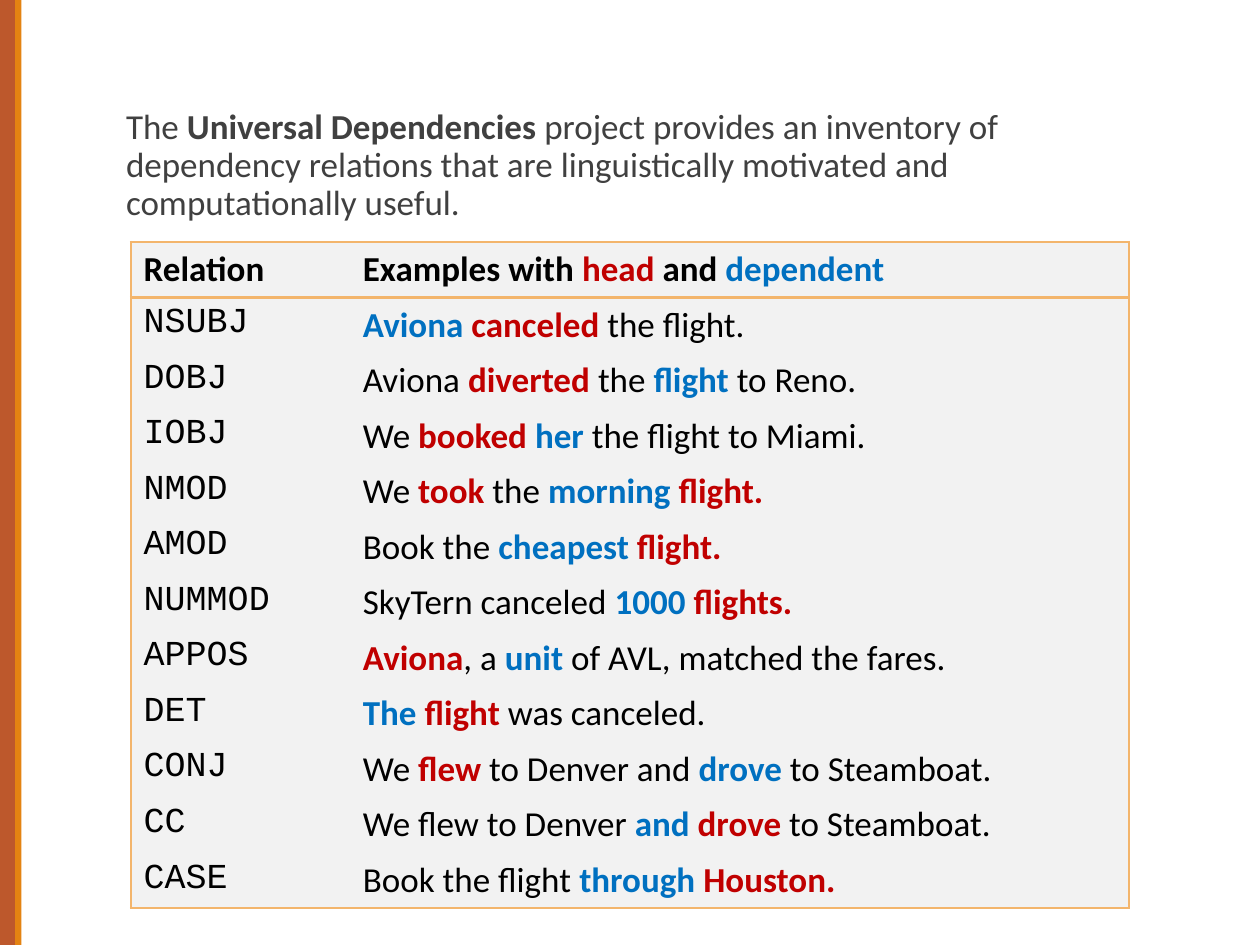
from dataclasses import dataclass

import lxml.etree
import pptx
import pptx.dml.color
import pptx.enum.shapes
import pptx.enum.text
import pptx.oxml.ns
import pptx.util

Inches = pptx.util.Inches
qn = pptx.oxml.ns.qn


@dataclass(frozen=True)
class Theme:
    rust: str = "BD582C"
    orange: str = "E48312"
    border: str = "F3B56C"
    panel: str = "F2F2F2"
    intro: str = "404040"
    ink: str = "000000"
    head: str = "C00000"
    dep: str = "0070C0"
    font: str = "Calibri"
    code: str = "Courier New"
    size: int = 20
    line: float = 1.5


THEME = Theme()


@dataclass(frozen=True)
class Span:
    text: str
    color: str = THEME.ink
    bold: bool = False
    font: str = THEME.font


@dataclass(frozen=True)
class Bar:
    left: float
    width: float
    color: str


@dataclass(frozen=True)
class Row:
    label: Span
    spans: list[Span]


def head(text: str) -> Span:
    return Span(text, THEME.head, True)


def dep(text: str) -> Span:
    return Span(text, THEME.dep, True)


def rel(name: str, *spans: Span) -> Row:
    return Row(Span(name, font=THEME.code), list(spans))


BARS = [Bar(0, 0.12, THEME.rust), Bar(0.12, 0.05, THEME.orange)]

INTRO = [
    Span("The ", THEME.intro),
    Span("Universal Dependencies ", THEME.intro, True),
    Span("project provides an inventory of dependency relations that are "
         "linguistically motivated and computationally useful.", THEME.intro),
]

# Airline names are invented
ROWS = [
    Row(Span("Relation", bold=True),
        [Span("Examples with ", bold=True), head("head"),
         Span(" and ", bold=True), dep("dependent")]),
    rel("NSUBJ", dep("Aviona "), head("canceled "), Span("the flight.")),
    rel("DOBJ", Span("Aviona "), head("diverted "), Span("the"),
        dep(" flight "), Span("to Reno.")),
    rel("IOBJ", Span("We "), head("booked "), dep("her"),
        Span(" the flight to Miami.")),
    rel("NMOD", Span("We "), head("took"), Span(" the "),
        dep("morning "), head("flight.")),
    rel("AMOD", Span("Book the "), dep("cheapest "), head("flight.")),
    rel("NUMMOD", Span("SkyTern canceled "), dep("1000 "), head("flights.")),
    rel("APPOS", head("Aviona"), Span(", a "), dep("unit"),
        Span(" of AVL, matched the fares.")),
    rel("DET", dep("The "), head("flight "), Span("was canceled.")),
    rel("CONJ", Span("We"), head(" flew "), Span("to Denver and "),
        dep("drove"), Span(" to Steamboat.")),
    rel("CC", Span("We flew to Denver "), dep("and "), head("drove"),
        Span(" to Steamboat.")),
    rel("CASE", Span("Book the flight "), dep("through "), head("Houston.")),
]


def rgb(code: str) -> pptx.dml.color.RGBColor:
    return pptx.dml.color.RGBColor.from_string(code)


def write(para, spans: list[Span]) -> None:
    for span in spans:
        run = para.add_run()
        run.text = span.text
        run.font.name = span.font
        run.font.size = pptx.util.Pt(THEME.size)
        run.font.bold = span.bold
        run.font.color.rgb = rgb(span.color)


def draw_bar(slide, bar: Bar) -> None:
    shape = slide.shapes.add_shape(
        pptx.enum.shapes.MSO_SHAPE.RECTANGLE,
        Inches(bar.left), 0, Inches(bar.width), Inches(7.5))
    shape.shadow.inherit = False
    shape.fill.solid()
    shape.fill.fore_color.rgb = rgb(bar.color)
    shape.line.fill.background()


def draw_intro(body) -> None:
    body.left, body.top = Inches(0.9), Inches(0.82)
    body.width, body.height = Inches(8.25), Inches(5.6)
    frame = body.text_frame
    frame.word_wrap = True
    frame.auto_size = pptx.enum.text.MSO_AUTO_SIZE.NONE
    frame.vertical_anchor = pptx.enum.text.MSO_ANCHOR.TOP
    frame.margin_left = frame.margin_right = 0
    para = frame.paragraphs[0]
    para.line_spacing = 0.9
    para.space_before = pptx.util.Pt(12)
    para.space_after = pptx.util.Pt(2)
    # Plain indent without a bullet
    props = para._p.get_or_add_pPr()
    props.set("marL", str(Inches(0.1)))
    props.set("indent", "0")
    lxml.etree.SubElement(props, qn("a:buNone"))
    write(para, INTRO)


def add_edges(cell, sides: str) -> None:
    props = cell._tc.get_or_add_tcPr()
    for side in "LRTB":
        line = lxml.etree.SubElement(props, qn(f"a:ln{side}"))
        if side in sides:
            line.set("w", str(pptx.util.Pt(THEME.line)))
            fill = lxml.etree.SubElement(line, qn("a:solidFill"))
            lxml.etree.SubElement(fill, qn("a:srgbClr"), val=THEME.border)
        else:
            lxml.etree.SubElement(line, qn("a:noFill"))


def draw_table(slide, rows: list[Row]) -> None:
    high = 0.44
    frame = slide.shapes.add_table(
        len(rows), 2, Inches(1.04), Inches(1.92),
        Inches(7.92), Inches(high * len(rows)))
    table = frame.table
    table.first_row = table.horz_banding = False
    # The "No Style, No Grid" table style
    style = next(frame.element.iter(qn("a:tableStyleId")))
    style.text = "{2D5ABB26-0587-4C30-8999-92F81FD0307C}"
    for col, width in zip(table.columns, (1.74, 6.18)):
        col.width = Inches(width)
    for i, row in enumerate(rows):
        table.rows[i].height = Inches(high)
        # Frame around the table, and a rule below the header
        edges = ("T" if i < 2 else "") + ("B" if i in (0, len(rows) - 1) else "")
        for j, (spans, side) in enumerate((([row.label], "L"), (row.spans, "R"))):
            cell = table.cell(i, j)
            add_edges(cell, edges + side)
            cell.fill.solid()
            cell.fill.fore_color.rgb = rgb(THEME.panel)
            write(cell.text_frame.paragraphs[0], spans)


def main() -> None:
    deck = pptx.Presentation()
    deck.slide_width, deck.slide_height = Inches(10), Inches(7.5)
    slide = deck.slides.add_slide(deck.slide_layouts[1])
    # The slide has no title
    title = slide.shapes.title.element
    title.getparent().remove(title)
    for bar in BARS:
        draw_bar(slide, bar)
    draw_intro(slide.placeholders[1])
    draw_table(slide, ROWS)
    deck.save("out.pptx")


if __name__ == "__main__":
    main()
